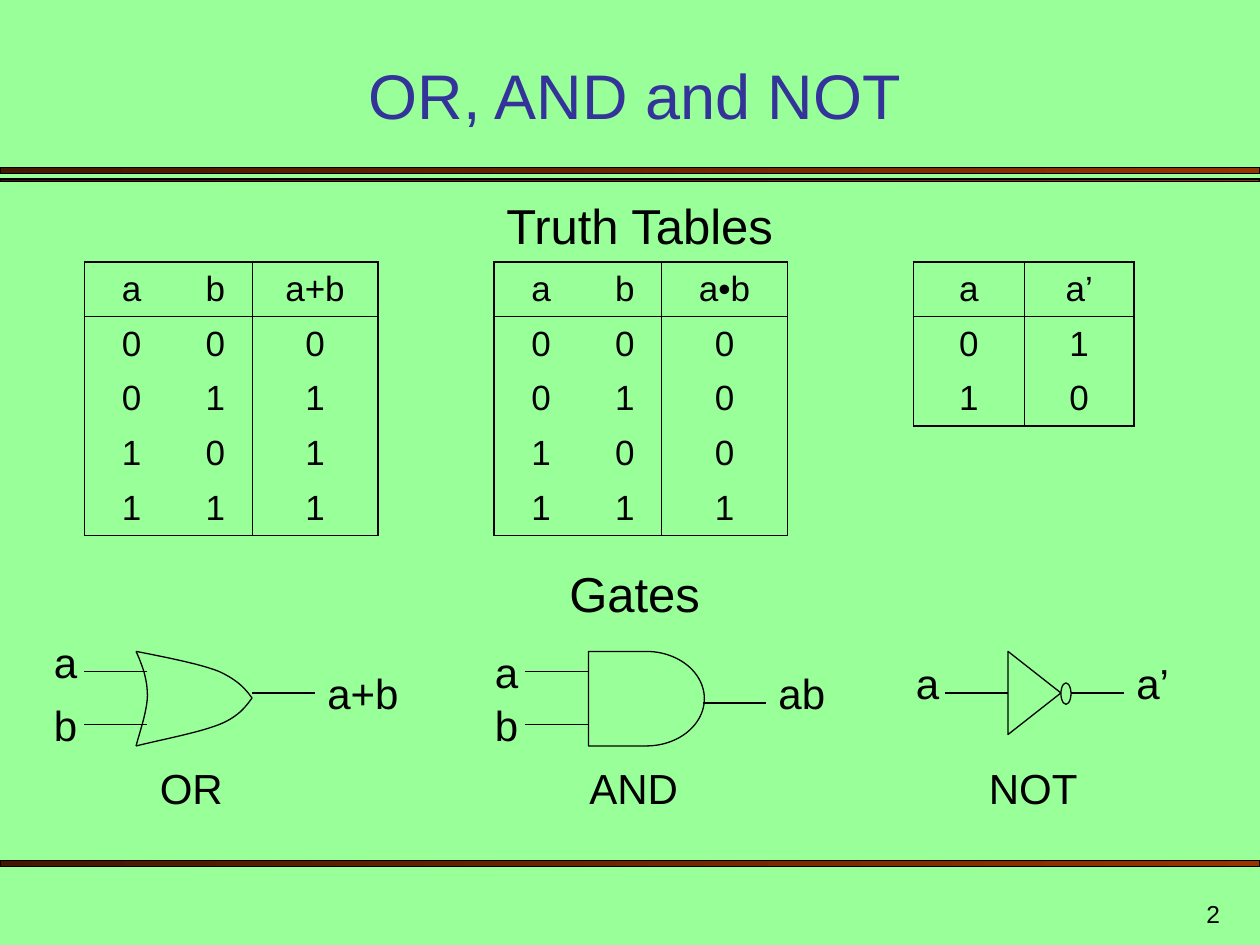
from dataclasses import dataclass
from lxml.etree import SubElement
from pptx import Presentation
from pptx.dml.color import RGBColor
from pptx.enum.shapes import MSO_CONNECTOR, MSO_SHAPE
from pptx.enum.text import MSO_ANCHOR, PP_ALIGN
from pptx.oxml.ns import qn
from pptx.util import Inches, Pt


@dataclass(frozen=True)
class Theme:
    font: str = "Arial"
    back: str = "99FF99"
    ink: str = "000000"
    head: str = "333399"
    rust: str = "993300"
    dark: str = "461700"
    title: int = 36
    topic: int = 28
    gate: int = 24
    cell: int = 20
    page: int = 14
    line: float = 0.75
    edge: float = 1.08
    rule: float = 0.45


T = Theme()


def rgb(code):
    return RGBColor.from_string(code)


def write(frame, text, size, color=T.ink, align=PP_ALIGN.LEFT):
    para = frame.paragraphs[0]
    para.text = text
    para.alignment = align
    para.font.name = T.font
    para.font.size = Pt(size)
    para.font.color.rgb = rgb(color)


def label(slide, text, x, y, w, h, size=T.gate, align=PP_ALIGN.LEFT,
          anchor=MSO_ANCHOR.TOP):
    frame = slide.shapes.add_textbox(
        Inches(x), Inches(y), Inches(w), Inches(h)).text_frame
    frame.word_wrap = True
    frame.vertical_anchor = anchor
    write(frame, text, size, align=align)


def outline(shape, fill=None):
    shape.shadow.inherit = False
    if fill:
        shape.fill.solid()
        shape.fill.fore_color.rgb = rgb(fill)
    else:
        shape.fill.background()
    shape.line.color.rgb = rgb(T.ink)
    shape.line.width = Pt(T.line)


def preset(slide, kind, x, y, w, h, fill=None):
    shape = slide.shapes.add_shape(
        kind, Inches(x), Inches(y), Inches(w), Inches(h))
    outline(shape, fill)
    return shape


def wire(slide, x, y, w=0.5):
    line = slide.shapes.add_connector(
        MSO_CONNECTOR.STRAIGHT, Inches(x), Inches(y), Inches(x + w), Inches(y))
    line.line.color.rgb = rgb(T.ink)
    line.line.width = Pt(T.line)
    SubElement(line._element.spPr, qn("a:effectLst"))


def trace(shapes, points, close=False, fill=None):
    spots = [(Inches(x), Inches(y)) for x, y in points]
    pen = shapes.build_freeform(*spots[0])
    pen.add_line_segments(spots[1:], close=close)
    outline(pen.convert_to_shape(), fill)


def bezier(start, *curves, steps=12):
    """Points along a chain of cubic curves."""
    points = [start]
    for c1, c2, end in curves:
        p0 = points[-1]
        for i in range(1, steps + 1):
            t = i / steps
            u = 1 - t
            points.append(tuple(
                u**3 * a + 3 * u * u * t * b + 3 * u * t * t * c + t**3 * d
                for a, b, c, d in zip(p0, c1, c2, end)))
    return points


# Title and the bars that frame the page
def header(slide, x, y, w, h):
    title = slide.shapes.title
    title.left, title.top = Inches(x), Inches(y)
    title.width, title.height = Inches(w), Inches(h)
    title.text_frame.vertical_anchor = MSO_ANCHOR.BOTTOM
    write(title.text_frame, "OR, AND and NOT", T.title, T.head, PP_ALIGN.CENTER)


def bar(slide, y, h):
    fill = preset(slide, MSO_SHAPE.RECTANGLE, 0, y, 10, h).fill
    fill.gradient()
    fill.gradient_angle = 180
    for stop, color in zip(fill.gradient_stops, (T.rust, T.dark)):
        stop.color.rgb = rgb(color)


# Truth tables
def border(cell, side, width):
    line = SubElement(cell._tc.get_or_add_tcPr(), qn("a:ln" + side),
                      w=str(Pt(width)))
    if width:
        fill = SubElement(line, qn("a:solidFill"))
        SubElement(fill, qn("a:srgbClr"), val=T.ink)
    else:
        SubElement(line, qn("a:noFill"))


def truth(slide, x, y, h, widths, rows):
    table = slide.shapes.add_table(
        len(rows), len(widths), Inches(x), Inches(y),
        Inches(sum(widths)), Inches(h)).table
    table.first_row = table.horz_banding = False
    for col, width in zip(table.columns, widths):
        col.width = Inches(width)
    end, last = len(rows) - 1, len(widths) - 1
    for r, row in enumerate(rows):
        table.rows[r].height = Inches(h / len(rows))
        for c, text in enumerate(row.split()):
            cell = table.cell(r, c)
            cell.vertical_anchor = MSO_ANCHOR.MIDDLE
            write(cell.text_frame, text, T.cell, align=PP_ALIGN.CENTER)
            # Heavy frame, thin rules under the head and before the result
            border(cell, "L", {0: T.edge, last: T.rule}.get(c, 0))
            border(cell, "R", {last: T.edge, last - 1: T.rule}.get(c, 0))
            border(cell, "T", {0: T.edge, 1: T.rule}.get(r, 0))
            border(cell, "B", {end: T.edge, 0: T.rule}.get(r, 0))
            cell.fill.background()


# Gates
def or_gate(slide, x, y):
    body, tip = x + 0.75, (x + 1.67, y + 0.54)
    top, low = (body, y + 0.17), (body, y + 0.92)
    group = slide.shapes.add_group_shape()
    trace(group.shapes, bezier(
        top,
        ((body + 0.05, y + 0.28), (body + 0.09, y + 0.39), (body + 0.09, y + 0.52)),
        ((body + 0.09, y + 0.64), (body + 0.02, y + 0.84), low)))
    for start, dips in ((top, (0.22, 0.27, 0.33, 0.4, 0.47)),
                        (low, (0.86, 0.81, 0.75, 0.69, 0.61))):
        a, b, c, d, e = (
            (body + dx, y + dy)
            for dx, dy in zip((0.25, 0.51, 0.66, 0.81, 0.87), dips))
        trace(group.shapes, bezier(start, (a, b, c), (d, e, tip)))
    for name, drop, text in (("a", 0.33, 0), ("b", 0.75, 0.5)):
        wire(slide, x + 0.34, y + drop)
        label(slide, name, x, y + text, 0.33, 0.5)
    wire(slide, x + 1.67, y + 0.5)
    label(slide, "a+b", x + 2.17, y + 0.25, 0.83, 0.5)
    label(slide, "OR", x + 0.84, y + 1, 1.17, 0.5)


def and_gate(slide, x, y):
    preset(slide, MSO_SHAPE.FLOWCHART_DELAY, x + 0.84, y + 0.17, 0.92, 0.75)
    for name, drop, text in (("a", 0.33, 0.08), ("b", 0.75, 0.5)):
        wire(slide, x + 0.34, y + drop)
        label(slide, name, x, y + text, 0.33, 0.5)
    wire(slide, x + 1.75, y + 0.58)
    label(slide, "ab", x + 2.25, y + 0.25, 0.58, 0.5)
    label(slide, "AND", x + 0.75, y + 1, 1.17, 0.5)


def not_gate(slide, x, y):
    body, tip = x + 0.83, x + 1.25
    trace(slide.shapes,
          [(body, y + 0.17), (body, y + 0.83), (tip, y + 0.5)], True, T.back)
    wire(slide, x + 0.33, y + 0.5)
    wire(slide, tip, y + 0.5)
    preset(slide, MSO_SHAPE.OVAL, tip, y + 0.42, 0.08, 0.17, T.back)
    label(slide, "a", x, y + 0.17, 0.33, 0.5)
    label(slide, "a’", x + 1.75, y + 0.17, 0.58, 0.5)
    label(slide, "NOT", x + 0.58, y + 1, 1.17, 0.5)


def main():
    deck = Presentation()
    deck.slide_width, deck.slide_height = Inches(10), Inches(7.5)
    slide = deck.slides.add_slide(deck.slide_layouts[5])
    slide.background.fill.solid()
    slide.background.fill.fore_color.rgb = rgb(T.back)

    for y, h in ((1.33, 0.05), (1.42, 0.02), (6.83, 0.05)):
        bar(slide, y, h)
    header(slide, 0.58, 0.42, 8.92, 0.68)

    label(slide, "Truth Tables", 3.92, 1.5, 2.75, 0.57, T.topic)
    wide = (0.75, 0.58, 1)
    truth(slide, 0.67, 2.08, 2.16, wide,
          ("a b a+b", "0 0 0", "0 1 1", "1 0 1", "1 1 1"))
    truth(slide, 3.92, 2.08, 2.16, wide,
          ("a b a•b", "0 0 0", "0 1 0", "1 0 0", "1 1 1"))
    truth(slide, 7.25, 2.08, 1.3, (0.88, 0.87), ("a a’", "0 1", "1 0"))

    label(slide, "Gates", 4.42, 4.42, 1.5, 0.57, T.topic)
    or_gate(slide, 0.33, 5)
    and_gate(slide, 3.83, 5)
    not_gate(slide, 7.17, 5)

    label(slide, "2", 7.7, 7, 2.08, 0.42, T.page, PP_ALIGN.RIGHT,
          MSO_ANCHOR.BOTTOM)
    deck.save("out.pptx")


if __name__ == "__main__":
    main()
